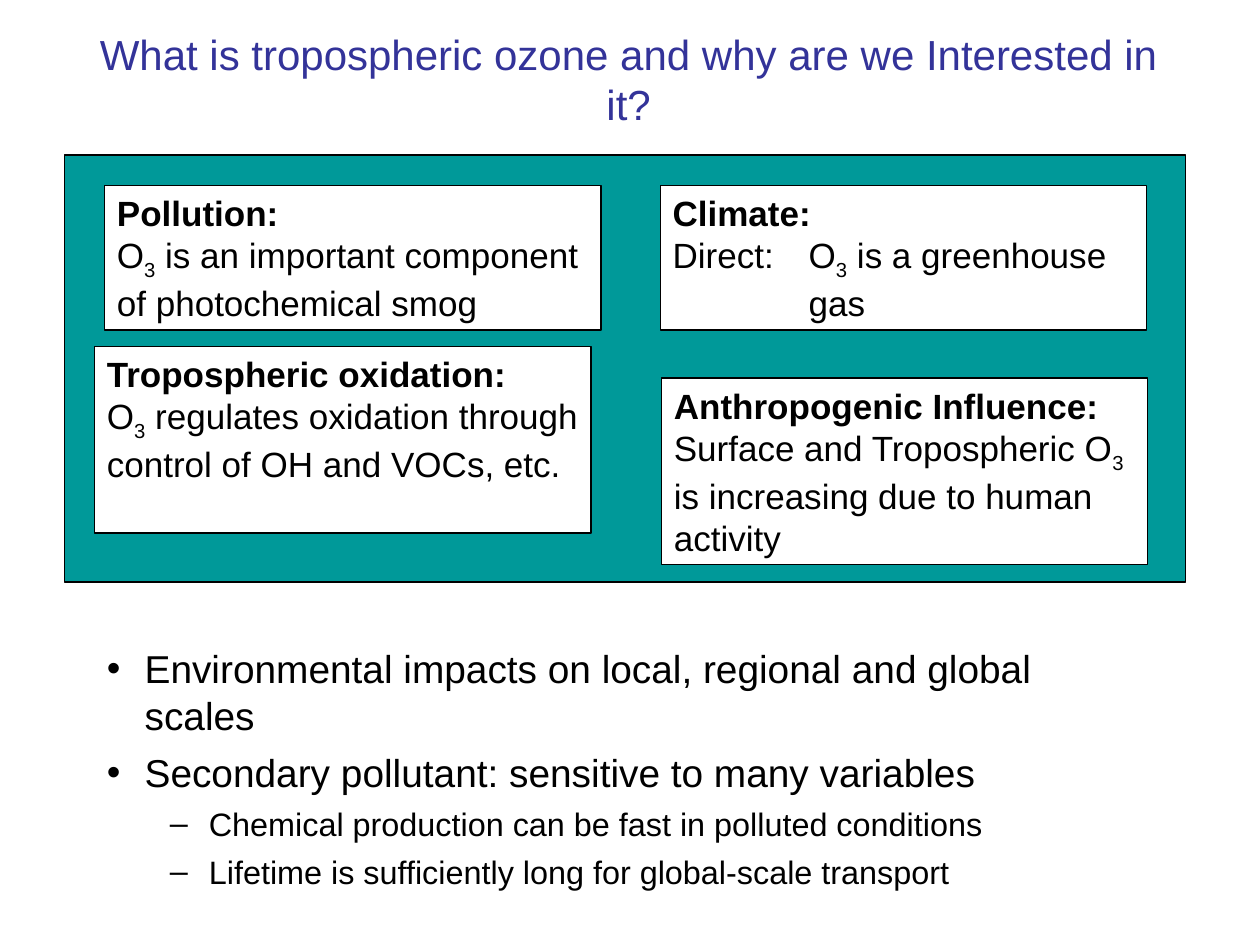
from pptx import Presentation
from pptx import util as u
from pptx.dml.color import RGBColor
from pptx.enum import shapes, text
from pptx.oxml.ns import qn
from lxml import etree

FONT = "Arial"
BLACK = RGBColor(0, 0, 0)
WHITE = RGBColor(255, 255, 255)
TEAL = RGBColor(0x00, 0x99, 0x99)
INDIGO = RGBColor(0x33, 0x33, 0x99)

COLUMNS = (0.83, 5.24)
WIDTHS = (3.94, 3.86)
PANEL = (0.51, 1.23, 8.9, 3.39)
BULLETS = (
    ("Environmental impacts on local, regional and global scales", 0),
    ("Secondary pollutant: sensitive to many variables", 0),
    ("Chemical production can be fast in polluted conditions", 1),
    ("Lifetime is sufficiently long for global-scale transport", 1),
)
LEVELS = (
    dict(bullet="•", indent=0.3, hang=0.3, size=22.2, before=6),
    dict(bullet="–", indent=0.81, hang=0.31, size=18.5, before=5),
)


def add_text(p, content, size=20, color=BLACK, bold=False, sub=False,
             align=None, indent=0, hang=0, bullet=None, before=0):
    pPr = p._p.get_or_add_pPr()
    if indent:
        pPr.set("marL", str(u.Inches(indent)))
        pPr.set("indent", str(-u.Inches(hang)))
    if bullet:
        etree.SubElement(pPr, qn("a:buFont"), typeface=FONT)
        etree.SubElement(pPr, qn("a:buChar"), char=bullet)
    if align is not None:
        p.alignment = align
    if before:
        p.space_before = u.Pt(before)
    r = p.add_run()
    r.text = content
    f = r.font
    f.name, f.size, f.bold = FONT, u.Pt(size), bold
    f.color.rgb = color
    if sub:
        r._r.get_or_add_rPr().set("baseline", "-25000")


def add_box(s, area, fill):
    sp = s.shapes.add_shape(shapes.MSO_SHAPE.RECTANGLE, *map(u.Inches, area))
    sp.shadow.inherit = False
    sp.fill.solid()
    sp.fill.fore_color.rgb = fill
    sp.line.color.rgb = BLACK
    sp.line.width = u.Pt(0.75)
    return sp


def add_frame(s, area, side=0.1, anchor=text.MSO_ANCHOR.TOP):
    tf = s.shapes.add_textbox(*map(u.Inches, area)).text_frame
    tf.word_wrap = True
    tf.margin_right = u.Inches(side)
    tf.vertical_anchor = anchor
    return tf


def add_card(s, area, heading, before_sub, after_sub, hang=0):
    tf = add_box(s, area, WHITE).text_frame
    tf.word_wrap = True
    tf.vertical_anchor = text.MSO_ANCHOR.TOP
    fmt = dict(align=text.PP_ALIGN.LEFT, indent=hang, hang=hang)
    add_text(tf.paragraphs[0], heading, bold=True, **fmt)
    p = tf.add_paragraph()
    add_text(p, before_sub, **fmt)
    add_text(p, "3", sub=True)
    add_text(p, after_sub)


def add_bullets(s, area):
    tf = add_frame(s, area, side=0.2)
    for i, (line, level) in enumerate(BULLETS):
        p = tf.add_paragraph() if i else tf.paragraphs[0]
        p.level = level
        fmt = dict(LEVELS[level])
        if i == 0:
            fmt["before"] = 0
        add_text(p, line, **fmt)


def main():
    prs = Presentation()
    prs.slide_width, prs.slide_height = u.Inches(10), u.Inches(7.5)
    s = prs.slides.add_slide(prs.slide_layouts[6])

    add_box(s, PANEL, TEAL)
    title = add_frame(s, (0.5, 0, 9, 1.25), side=0.12,
                      anchor=text.MSO_ANCHOR.MIDDLE)
    add_text(title.paragraphs[0],
             "What is tropospheric ozone and why are we Interested in it?",
             size=24, color=INDIGO, align=text.PP_ALIGN.CENTER)
    add_bullets(s, (0.75, 5.07, 8.5, 1.84))

    left, right = COLUMNS
    wide, narrow = WIDTHS
    add_card(s, (left, 1.47, wide, 1.15), "Pollution:", "O",
             " is an important component of photochemical smog")
    add_card(s, (right, 1.47, narrow, 1.15), "Climate:", "Direct:\tO",
             " is a greenhouse gas", hang=1.08)
    add_card(s, (left - 0.08, 2.75, wide, 1.48), "Tropospheric oxidation:",
             "O", " regulates oxidation through control of OH and VOCs, etc.")
    add_card(s, (right + 0.01, 3, narrow, 1.48), "Anthropogenic Influence:",
             "Surface and Tropospheric O",
             " is increasing due to human activity")
    prs.save("out.pptx")


if __name__ == "__main__":
    main()
